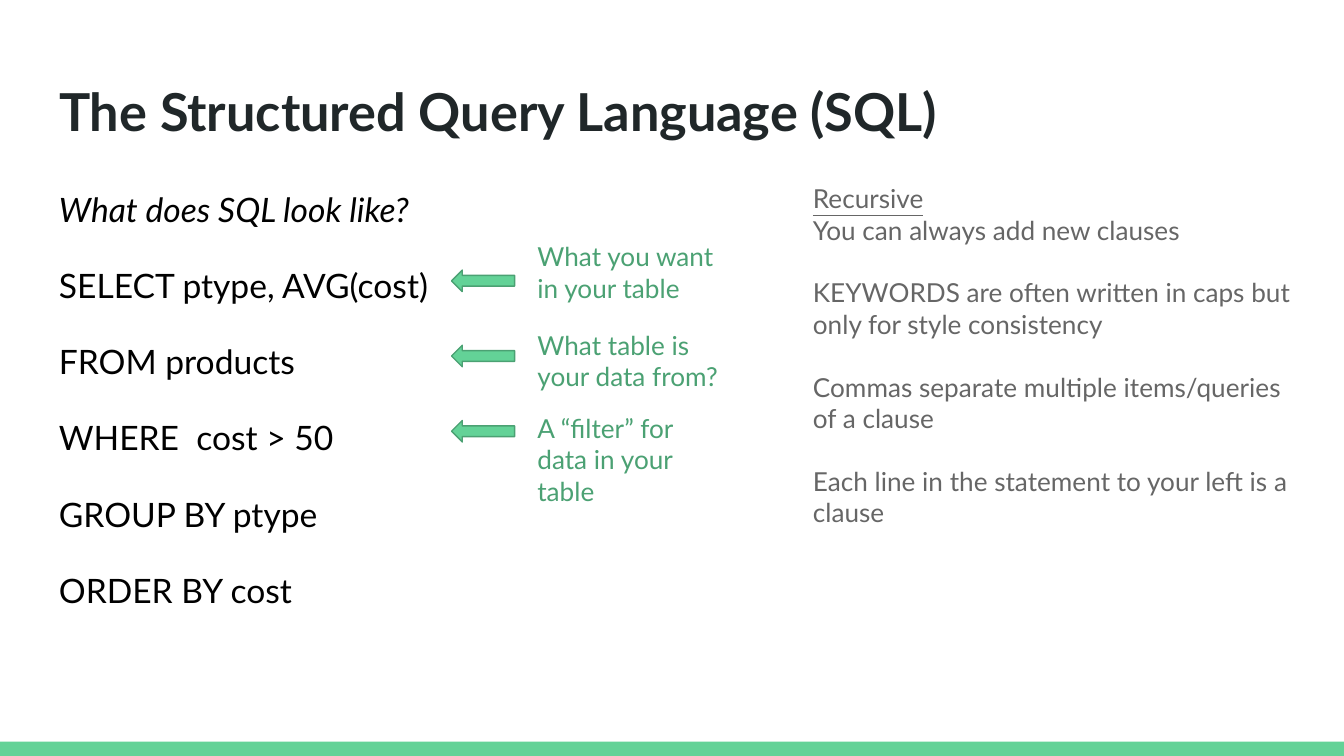
"""Builds a slide that introduces SQL clauses with annotations and notes."""
from dataclasses import dataclass

import pptx
import pptx.dml.color
import pptx.enum.shapes
import pptx.enum.text
import pptx.util
from pptx.util import Pt


@dataclass(frozen=True)
class Theme:
    font: str = "Lato"
    heading: str = "202729"
    ink: str = "000000"
    grey: str = "666666"
    green: str = "63D297"
    dark_green: str = "4BA173"
    title_size: int = 28
    body_size: int = 18
    note_size: int = 14


theme = Theme()


def color(value):
    return pptx.dml.color.RGBColor.from_string(value)


def write(box, lines, size, ink):
    frame = box.text_frame
    frame.word_wrap = True
    frame.auto_size = pptx.enum.text.MSO_AUTO_SIZE.NONE
    frame.vertical_anchor = pptx.enum.text.MSO_ANCHOR.TOP
    frame.margin_left = frame.margin_right = Pt(7.2)
    frame.margin_top = frame.margin_bottom = Pt(7.2)
    frame.text = "\n".join(lines)
    for para in frame.paragraphs:
        para.alignment = pptx.enum.text.PP_ALIGN.LEFT
        for span in para.runs:
            span.font.name = theme.font
            span.font.size = Pt(size)
            span.font.color.rgb = color(ink)
    return frame.paragraphs


deck = pptx.Presentation()
deck.slide_width, deck.slide_height = Pt(720), Pt(405)
slide = deck.slides.add_slide(deck.slide_layouts.get_by_name("Title Only"))
shapes = slide.shapes

band = shapes.add_shape(pptx.enum.shapes.MSO_SHAPE.RECTANGLE, Pt(0), Pt(397.4), Pt(720), Pt(7.6))
band.shadow.inherit = False
band.fill.solid()
band.fill.fore_color.rgb = color(theme.green)
band.line.fill.background()

title = shapes.title
title.left, title.top, title.width, title.height = Pt(24.5), Pt(35.3), Pt(671), Pt(45.4)
heading = write(title, ["The Structured Query Language (SQL)"], theme.title_size, theme.heading)
heading[0].runs[0].font.bold = True

query_lines = [
    "What does SQL look like?",
    "SELECT ptype, AVG(cost)",
    "FROM products",
    "WHERE  cost > 50",
    "GROUP BY ptype",
    "ORDER BY cost",
]
query = shapes.add_textbox(Pt(24.5), Pt(90.7), Pt(334.8), Pt(269.3))
query_paras = write(query, query_lines, theme.body_size, theme.ink)
for para in query_paras:
    para.line_spacing = 1.15
    para.space_after = Pt(16)
query_paras[0].runs[0].font.italic = True

note_lines = [
    "Recursive",
    "You can always add new clauses",
    "KEYWORDS are often written in caps but only for style consistency",
    "Commas separate multiple items/queries of a clause",
    "Each line in the statement to your left is a clause",
]
notes = shapes.add_textbox(Pt(428.4), Pt(90.7), Pt(279.4), Pt(269.3))
note_paras = write(notes, note_lines, theme.note_size, theme.grey)
note_paras[0].runs[0].font.underline = True
for para in note_paras[2:]:
    para.space_before = Pt(16.8)

annotations = [
    ("What you want in your table", 121.7, 45.4),
    ("What table is your data from?", 169.2, 45.4),
    ("A “filter” for data in your table", 213.8, 40.3),
]
for row, (text, top, height) in enumerate(annotations):
    label = shapes.add_textbox(Pt(280.8), Pt(top), Pt(115.9), Pt(height))
    write(label, [text], theme.note_size, theme.dark_green)
    arrow = shapes.add_shape(
        pptx.enum.shapes.MSO_SHAPE.LEFT_ARROW, Pt(241.9), Pt(144.7 + 40.3 * row), Pt(33.8), Pt(11.5)
    )
    arrow.shadow.inherit = False
    arrow.fill.solid()
    arrow.fill.fore_color.rgb = color(theme.green)
    arrow.line.color.rgb = color(theme.dark_green)
    arrow.line.width = Pt(0.75)

deck.save("out.pptx")
